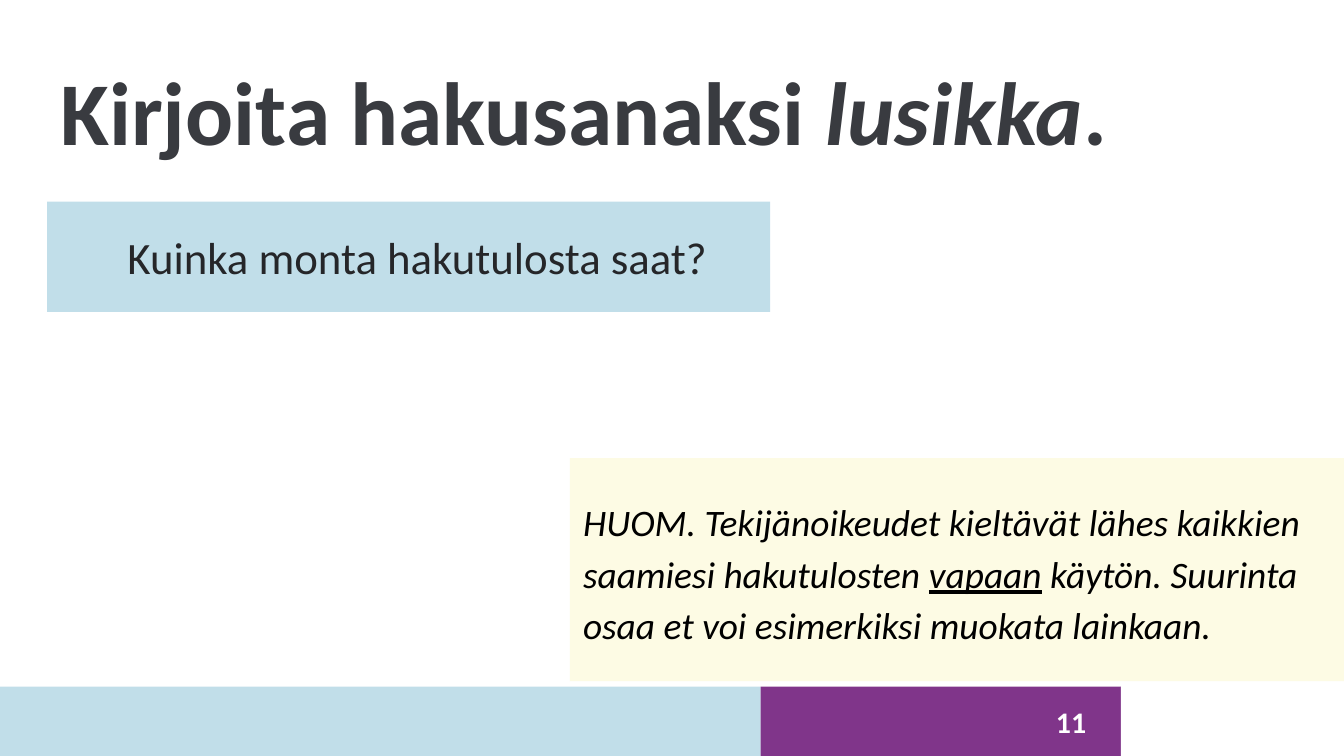
from pptx import Presentation
from pptx import util as u
from pptx.dml.color import RGBColor
from pptx.enum import shapes, text

FONT = "Calibri"
WHITE, BLUE, PURPLE, CREAM = "FFFFFF", "C1DEE9", "80358A", "FDFBE4"


def colour(value):
    return RGBColor.from_string(value)


def add_panel(page, box, fill):
    """Add a plain filled rectangle; box is left, top, width, height in inches."""
    panel = page.shapes.add_shape(
        shapes.MSO_SHAPE.RECTANGLE, *(u.Inches(side) for side in box))
    panel.fill.solid()
    panel.fill.fore_color.rgb = colour(fill)
    panel.line.fill.background()
    panel.shadow.inherit = False
    return panel


def write(shape, pieces, size, ink, align=text.PP_ALIGN.LEFT, spacing=1.0, **style):
    """Fill a shape with one paragraph of (words, extra font style) pieces."""
    frame = shape.text_frame
    frame.word_wrap = True
    frame.vertical_anchor = text.MSO_ANCHOR.MIDDLE
    frame.margin_left = frame.margin_right = u.Inches(0.1)
    frame.margin_top = frame.margin_bottom = u.Inches(0.1)
    para = frame.paragraphs[0]
    para.alignment = align
    para.line_spacing = spacing
    for words, extra in pieces:
        span = para.add_run()
        span.text = words
        span.font.name = FONT
        span.font.size = u.Pt(size)
        span.font.color.rgb = colour(ink)
        for name, value in {**style, **extra}.items():
            setattr(span.font, name, value)


def add_footer(page, box):
    """Blue, purple and white bands, with the page number on the purple one."""
    left, top, width, height = box
    for fill, band_width in ((BLUE, 5.66), (PURPLE, 2.68), (WHITE, width - 8.34)):
        add_panel(page, (left, top, band_width, height), fill)
        left += band_width
    number = page.shapes.add_textbox(
        u.Inches(box[0] + 7.71), u.Inches(top + 0.1), u.Inches(0.47), u.Inches(0.32))
    write(number, [("11", {})], 16, WHITE, text.PP_ALIGN.RIGHT, bold=True)


def add_title(page, box):
    title = add_panel(page, box, WHITE)
    pieces = [("Kirjoita hakusanaksi ", {}), ("lusikka", {"italic": True}), (".", {})]
    write(title, pieces, 48, "393B40", spacing=0.9, bold=True)


def add_question(page, box):
    question = add_panel(page, box, BLUE)
    write(question, [("Kuinka monta hakutulosta saat?", {})], 24, "252629")
    # Indent the whole paragraph
    properties = question.text_frame.paragraphs[0]._p.get_or_add_pPr()
    properties.set("marL", str(u.Inches(0.5)))
    properties.set("indent", "0")


def add_note(page, box):
    note = add_panel(page, box, CREAM)
    pieces = [
        ("HUOM. Tekijänoikeudet kieltävät lähes kaikkien saamiesi hakutulosten ", {}),
        ("vapaan", {"underline": True}),
        (" käytön. Suurinta osaa et voi esimerkiksi muokata lainkaan.", {}),
    ]
    write(note, pieces, 20, "000000", spacing=1.15, italic=True)


def main():
    deck = Presentation()
    deck.slide_width = u.Inches(10)
    deck.slide_height = deck.slide_width * 9 // 16
    page = deck.slides.add_slide(deck.slide_layouts[6])
    add_footer(page, (0, 5.11, 10, 0.53))
    add_title(page, (0.35, 0.24, 9.65, 1.26))
    add_question(page, (0.35, 1.5, 5.38, 0.82))
    add_note(page, (4.24, 3.41, 5.76, 1.66))
    deck.save("out.pptx")


if __name__ == "__main__":
    main()
